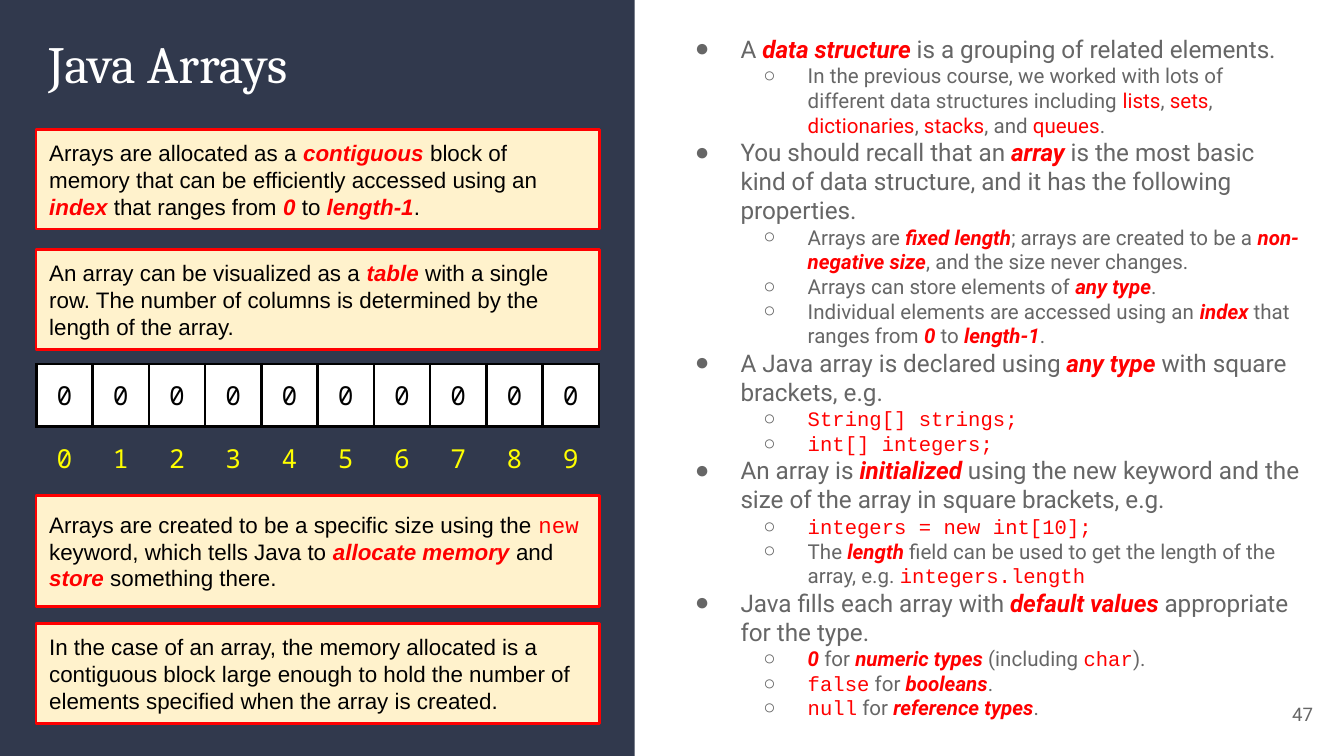
"""Build the Java Arrays slide."""
from dataclasses import dataclass

from lxml import etree
from pptx import Presentation
from pptx.dml.color import RGBColor
from pptx.enum.shapes import MSO_SHAPE
from pptx.enum.text import MSO_ANCHOR, MSO_AUTO_SIZE, PP_ALIGN
from pptx.oxml.ns import qn
from pptx.util import Pt

RECT = MSO_SHAPE.RECTANGLE
TOP, MIDDLE = MSO_ANCHOR.TOP, MSO_ANCHOR.MIDDLE
LEFT, CENTER, RIGHT = PP_ALIGN.LEFT, PP_ALIGN.CENTER, PP_ALIGN.RIGHT
NO_FIT = MSO_AUTO_SIZE.NONE
PLAIN_GRID = "{2D5ABB26-0587-4C30-8999-92F81FD0307C}"


@dataclass(frozen=True)
class Theme:
    """Colours, fonts and type sizes."""
    navy: str = "31394D"
    white: str = "FFFFFF"
    black: str = "000000"
    gray: str = "666666"
    red: str = "FF0000"
    cream: str = "FFF2CC"
    yellow: str = "FFFF00"
    head: str = "Cambria"
    body: str = "Roboto"
    note: str = "Arial"
    code: str = "Courier New"
    mono: str = "Noto Sans Mono"
    title_size: float = 28
    cell_size: float = 14
    note_size: float = 12
    page_size: float = 10
    list_sizes: tuple = (13, 11)
    inset: float = 7.2
    line: float = 1.5


class Deck:
    """Hold the theme and the current slide, and add elements to it."""

    def __init__(self, theme, show):
        self.theme = theme
        self.slide = show.slides.add_slide(show.slide_layouts[1])
        self.shapes = self.slide.shapes

    def place(self, shape, box):
        """Move a shape to a box given in points."""
        shape.left, shape.top, shape.width, shape.height = map(Pt, box)

    def frame(self, frame, anchor):
        """Set insets, wrapping and anchor."""
        frame.word_wrap = True
        frame.auto_size = NO_FIT
        frame.vertical_anchor = anchor
        frame.margin_left = frame.margin_right = Pt(self.theme.inset)
        frame.margin_top = frame.margin_bottom = Pt(self.theme.inset)

    def style(self, para, text, face, size, color, align=LEFT):
        """Set text in which |*key|, |~red| and |`code| mark the accents."""
        para.alignment = align
        para.space_before = Pt(0)
        for place, part in enumerate(text.split("|")):
            mark = part[0] if place % 2 else ""
            words = part[len(mark):]
            if not words:
                continue
            run = para.add_run()
            run.text = words
            font = run.font
            font.name = self.theme.code if mark == "`" else face
            font.size = Pt(size)
            font.color.rgb = RGBColor.from_string(self.theme.red if mark else color)
            font.bold = font.italic = mark == "*"

    def panel(self, box, fill):
        """Add a plain block behind all else."""
        shape = self.shapes.add_shape(RECT, *map(Pt, box))
        shape.shadow.inherit = False
        shape.fill.solid()
        shape.fill.fore_color.rgb = RGBColor.from_string(fill)
        shape.line.fill.background()
        self.shapes._spTree.insert(2, shape._element)

    def title(self, box, text):
        """Fill the title placeholder."""
        look, shape = self.theme, self.shapes.title
        self.place(shape, box)
        self.frame(shape.text_frame, TOP)
        self.style(shape.text_frame.paragraphs[0], text, look.head, look.title_size, look.white)

    def bullet(self, para, level):
        """Give a paragraph its indent and bullet."""
        props = para._p.get_or_add_pPr()
        props.set("marL", str(Pt(36 * (level + 1))))
        props.set("indent", str(-Pt((24.5, 23.75)[level])))
        color = etree.SubElement(props, qn("a:buClr"))
        etree.SubElement(color, qn("a:srgbClr"), val=self.theme.gray)
        etree.SubElement(props, qn("a:buChar"), char="●○"[level])

    def list(self, box, items):
        """Fill the body placeholder with (level, text) items."""
        look, shape = self.theme, self.slide.placeholders[1]
        self.place(shape, box)
        frame = shape.text_frame
        self.frame(frame, MIDDLE)
        for place, (level, text) in enumerate(items):
            para = frame.add_paragraph() if place else frame.paragraphs[0]
            para.level = level
            self.bullet(para, level)
            self.style(para, text, look.body, look.list_sizes[level], look.gray)

    def note(self, box, text):
        """Add a framed note."""
        look = self.theme
        shape = self.shapes.add_shape(RECT, *map(Pt, box))
        shape.shadow.inherit = False
        shape.fill.solid()
        shape.fill.fore_color.rgb = RGBColor.from_string(look.cream)
        shape.line.color.rgb = RGBColor.from_string(look.red)
        shape.line.width = Pt(look.line)
        self.frame(shape.text_frame, MIDDLE)
        self.style(shape.text_frame.paragraphs[0], text, look.note, look.note_size, look.black)

    def page(self, box, text):
        """Add the page number."""
        look = self.theme
        frame = self.shapes.add_textbox(*map(Pt, box)).text_frame
        self.frame(frame, MIDDLE)
        self.style(frame.paragraphs[0], text, look.body, look.page_size, look.gray, RIGHT)

    def edge(self, cell, sides):
        """Draw black borders on the named sides of a cell."""
        props = cell._tc.get_or_add_tcPr()
        for place, side in enumerate(sides):
            line = etree.Element(qn("a:ln" + side), w=str(Pt(self.theme.line)))
            fill = etree.SubElement(line, qn("a:solidFill"))
            etree.SubElement(fill, qn("a:srgbClr"), val=self.theme.black)
            props.insert(place, line)

    def array(self, box, values):
        """Add a row of values above a row of indexes."""
        look = self.theme
        table = self.shapes.add_table(2, len(values), *map(Pt, box)).table
        table.first_row = table.horz_banding = False
        table._tbl.tblPr.find(qn("a:tableStyleId")).text = PLAIN_GRID
        for col, value in enumerate(values):
            table.columns[col].width = Pt(box[2] / len(values))
            slot, index = table.cell(0, col), table.cell(1, col)
            slot.fill.solid()
            slot.fill.fore_color.rgb = RGBColor.from_string(look.white)
            index.fill.background()
            self.edge(slot, "LRTB")
            self.edge(index, "T")
            for cell, text, color in ((slot, value, look.black), (index, str(col), look.yellow)):
                cell.vertical_anchor = MIDDLE
                cell.margin_left = cell.margin_right = Pt(look.inset)
                cell.margin_top = cell.margin_bottom = Pt(look.inset)
                self.style(cell.text_frame.paragraphs[0], text, look.mono, look.cell_size, color, CENTER)


NOTES = [
    (69.25, 53.5, "Arrays are allocated as a |*contiguous |block of memory that can be efficiently "
     "accessed using an |*index |that ranges from |*0| to |*length-1|."),
    (133.75, 53.5, "An array can be visualized as a |*table |with a single row. The number of columns "
     "is determined by the length of the array."),
    (265.5, 59.5, "Arrays are created to be a specific size using the |`new| keyword, which tells Java "
     "to |*allocate memory |and |*store |something there."),
    (334, 53.5, "In the case of an array, the memory allocated is a contiguous block large enough to "
     "hold the number of elements specified when the array is created."),
]
ITEMS = [
    (0, "A |*data structure |is a grouping of related elements."),
    (1, "In the previous course, we worked with lots of different data structures including "
     "|~lists|, |~sets|, |~dictionaries|, |~stacks|, and |~queues|."),
    (0, "You should recall that an |*array |is the most basic kind of data structure, "
     "and it has the following properties."),
    (1, "Arrays are |*fixed length|; arrays are created to be a |*non-negative size|, "
     "and the size never changes."),
    (1, "Arrays can store elements of |*any type|."),
    (1, "Individual elements are accessed using an |*index |that ranges from |*0| to |*length-1|."),
    (0, "A Java array is declared using |*any type |with square brackets, e.g."),
    (1, "|`String[] strings;|"),
    (1, "|`int[] integers;|"),
    (0, "An array is |*initialized |using the new keyword and the size of the array in "
     "square brackets, e.g."),
    (1, "|`integers = new int[10];|"),
    (1, "The |*length |field can be used to get the length of the array, e.g. |`integers.length|"),
    (0, "Java fills each array with |*default values |appropriate for the type."),
    (1, "|*0| for |*numeric types| (including |`char|)."),
    (1, "|`false| for |*booleans|."),
    (1, "|`null| for |*reference types|."),
]


def main():
    """Build and save the slide."""
    show = Presentation()
    show.slide_width, show.slide_height = Pt(720), Pt(405)
    deck = Deck(Theme(), show)
    deck.panel((0, 0, 340, 405), deck.theme.navy)
    deck.title((18.75, 9.5, 291.5, 50.5), "Java Arrays")
    deck.list((353.5, 9.5, 353, 385), ITEMS)
    deck.page((667.5, 367.25, 43, 31), "47")
    for top, height, text in NOTES:
        deck.note((19.25, top, 301.75, height), text)
    deck.array((19.5, 195, 301.5, 62), ["0"] * 10)
    show.save("out.pptx")


if __name__ == "__main__":
    main()
